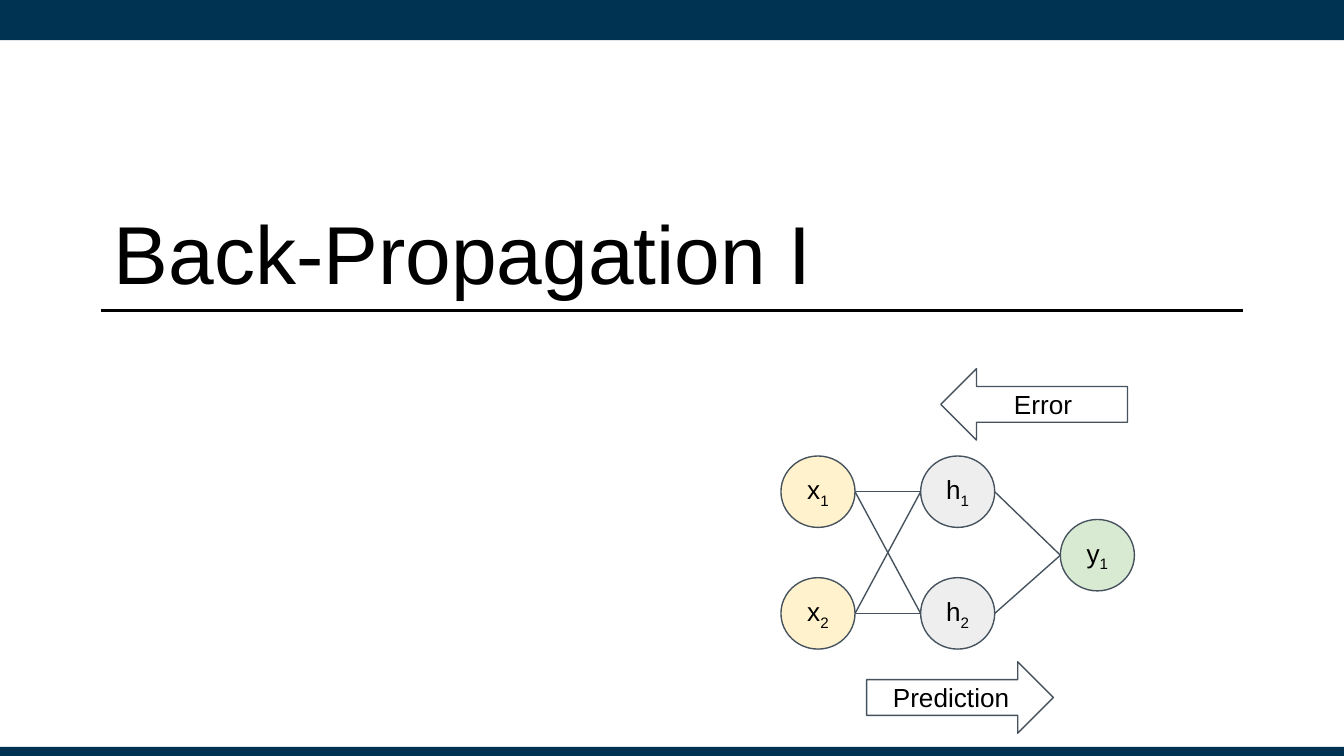
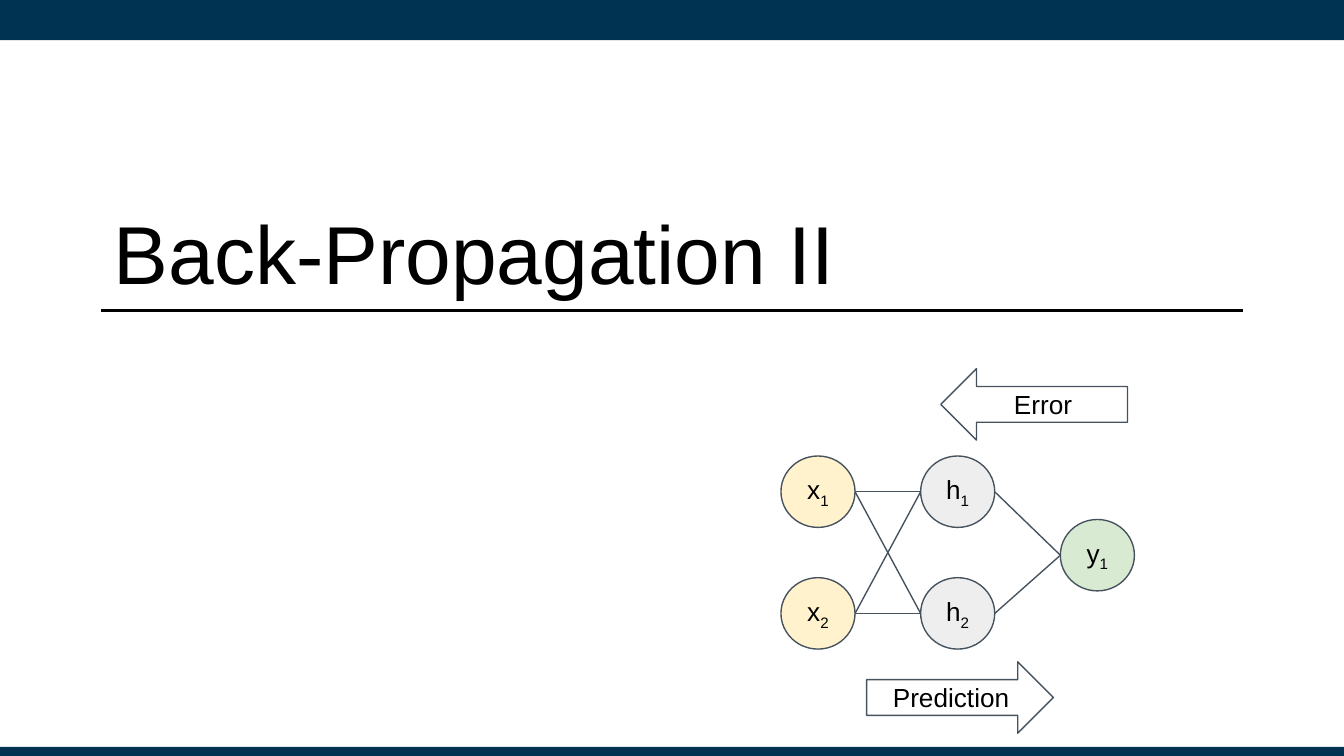
from dataclasses import dataclass
from itertools import product

from lxml.etree import SubElement
from pptx import Presentation
from pptx.dml.color import RGBColor
from pptx.enum.shapes import MSO_CONNECTOR as Conn, MSO_SHAPE as Shp
from pptx.enum.text import MSO_ANCHOR as Anchor, MSO_AUTO_SIZE as AutoSize, PP_ALIGN as Align
from pptx.oxml.ns import qn
from pptx.util import Cm, Pt

FONT = "Arial"
NAVY, BLACK, WHITE, SLATE = "003252", "000000", "FFFFFF", "46535E"
CREAM, GREY, GREEN = "FFF2CC", "EEEEEE", "D9EAD3"
SLIDE_W, SLIDE_H = 25.4, 14.29
MARGIN = 1.9
NODE_W, NODE_H = 1.4, 1.35
NET_LEFT, LAYER_STEP = 14.76, 2.64
ROW_TOPS = (8.62, 10.92)
OUTPUT_TOP = 9.82
ARROW_W = 3.53


@dataclass(frozen=True)
class Node:
    """A network unit, with its layer counted from the left."""
    name: str
    sub: str
    layer: int
    top: float
    fill: str

    @property
    def left(self) -> float:
        """Return the left edge in centimetres."""
        return NET_LEFT + self.layer * LAYER_STEP

    @property
    def mid(self) -> float:
        """Return the height of the centre in centimetres."""
        return self.top + NODE_H / 2


@dataclass(frozen=True)
class Arrow:
    """A labelled block arrow."""
    label: str
    kind: Shp
    left: float
    top: float


INPUTS = [Node("x", str(i), 0, top, CREAM) for i, top in enumerate(ROW_TOPS, 1)]
HIDDEN = [Node("h", str(i), 1, top, GREY) for i, top in enumerate(ROW_TOPS, 1)]
OUTPUTS = [Node("y", "1", 2, OUTPUT_TOP, GREEN)]
ARROWS = [
    Arrow("Error", Shp.LEFT_ARROW, 17.78, 6.97),
    Arrow("Prediction", Shp.RIGHT_ARROW, 16.38, 12.51),
]
TITLES = ["Back-Propagation I", "Back-Propagation II"]


def rgb(color: str) -> RGBColor:
    """Turn a hex string into a colour."""
    return RGBColor.from_string(color)


def write(sp, text: str, *, sub: str = "", size: float = 14, color: str = BLACK,
          align: Align = Align.CENTER, inset_y: float = 0.25) -> None:
    """Write one formatted line in a shape, with an optional subscript."""
    tf = sp.text_frame
    tf.word_wrap = True
    tf.auto_size = AutoSize.NONE
    tf.vertical_anchor = Anchor.MIDDLE
    tf.margin_left = tf.margin_right = Cm(0.25)
    tf.margin_top = tf.margin_bottom = Cm(inset_y)
    p = tf.paragraphs[0]
    p.alignment = align
    for part, baseline in ((text, None), (sub, "-25000")):
        if not part:
            continue
        r = p.add_run()
        r.text = part
        r.font.name, r.font.size = FONT, Pt(size)
        r.font.color.rgb = rgb(color)
        if baseline:
            r._r.get_or_add_rPr().set("baseline", baseline)


def add_box(s, kind: Shp, left: float, top: float, width: float, height: float,
            fill: str, line: str = ""):
    """Add a flat preset shape, outlined when a line colour is given."""
    sp = s.shapes.add_shape(kind, Cm(left), Cm(top), Cm(width), Cm(height))
    sp.shadow.inherit = False
    sp.fill.solid()
    sp.fill.fore_color.rgb = rgb(fill)
    if line:
        sp.line.color.rgb = rgb(line)
        sp.line.width = Pt(0.75)
    else:
        sp.line.fill.background()
    return sp


def add_line(s, x1: float, y1: float, x2: float, y2: float,
             color: str = SLATE, width: float = 0.75) -> None:
    """Add a straight line without a shadow."""
    cxn = s.shapes.add_connector(Conn.STRAIGHT, Cm(x1), Cm(y1), Cm(x2), Cm(y2))
    cxn.line.color.rgb = rgb(color)
    cxn.line.width = Pt(width)
    SubElement(cxn._element.spPr, qn("a:effectLst"))


def add_section(prs, title: str):
    """Add a section slide with its bands, rule and title."""
    s = prs.slides.add_slide(prs.slide_layouts[0])
    sub = s.placeholders[1]._element
    sub.getparent().remove(sub)
    for top, height in ((0, 0.76), (14.12, 0.17)):
        add_box(s, Shp.RECTANGLE, 0, top, SLIDE_W, height, NAVY)
    add_line(s, MARGIN, 5.87, SLIDE_W - MARGIN, 5.87, BLACK, 1.25)
    sp = s.shapes.title
    sp.left, sp.top = Cm(MARGIN), Cm(3.81)
    sp.width, sp.height = Cm(SLIDE_W - 2 * MARGIN), Cm(1.88)
    write(sp, title, size=44, align=Align.LEFT, inset_y=0.13)
    return s


def draw_network(s) -> None:
    """Draw the units, their links and the two flow arrows."""
    for n in INPUTS + HIDDEN + OUTPUTS:
        sp = add_box(s, Shp.OVAL, n.left, n.top, NODE_W, NODE_H, n.fill, SLATE)
        write(sp, n.name, sub=n.sub)
    for a, b in [*product(INPUTS, HIDDEN), *product(HIDDEN, OUTPUTS)]:
        add_line(s, a.left + NODE_W, a.mid, b.left, b.mid)
    for arrow in ARROWS:
        sp = add_box(s, arrow.kind, arrow.left, arrow.top, ARROW_W, NODE_H, WHITE, SLATE)
        write(sp, arrow.label)


def main() -> None:
    """Build and save the deck."""
    prs = Presentation()
    prs.slide_width, prs.slide_height = Cm(SLIDE_W), Cm(SLIDE_H)
    for title in TITLES:
        draw_network(add_section(prs, title))
    prs.save("out.pptx")


if __name__ == "__main__":
    main()
